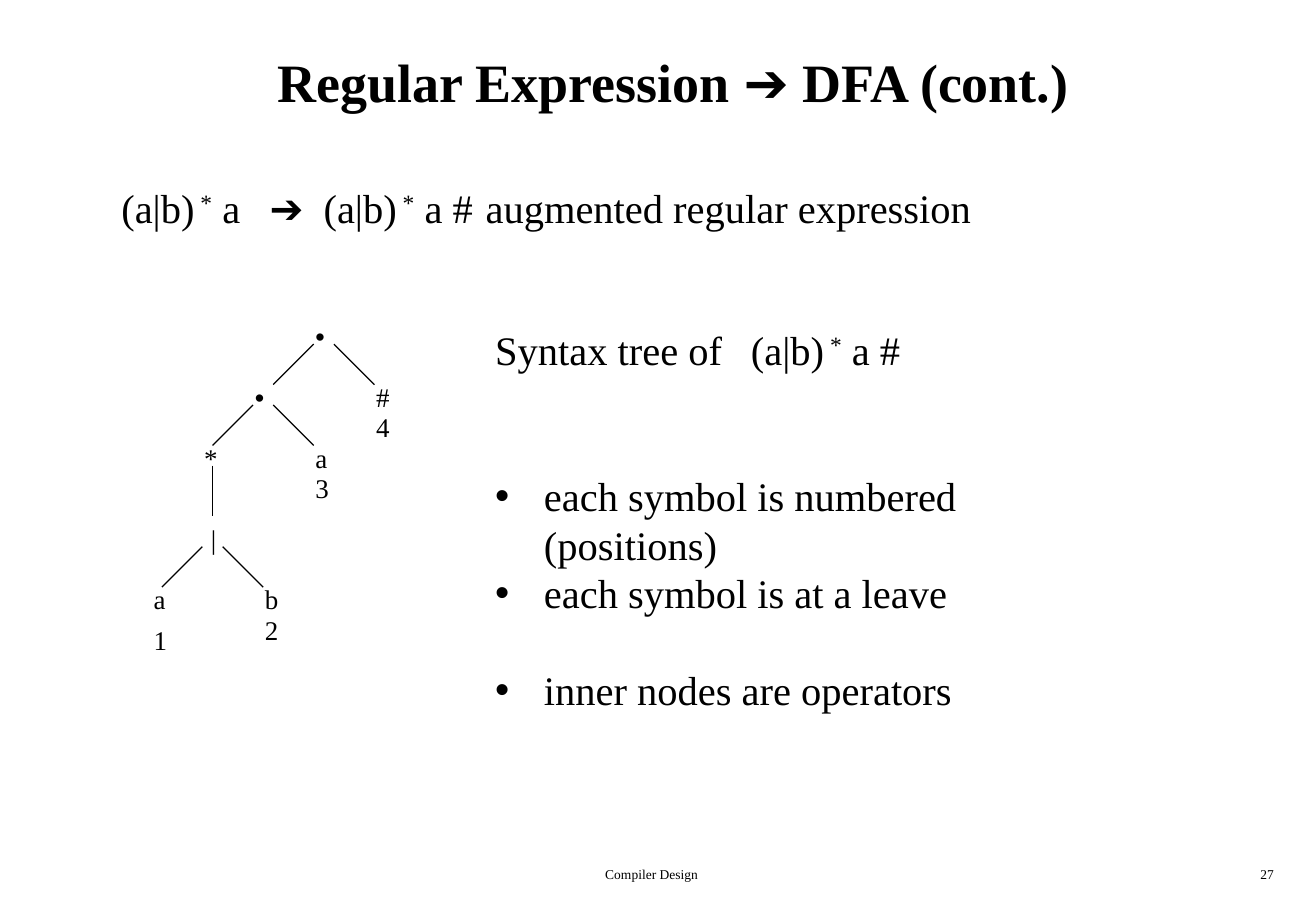
from dataclasses import dataclass

from lxml import etree
from pptx import Presentation
from pptx.dml.color import RGBColor
from pptx.enum import shapes, text
from pptx.oxml import ns
from pptx.util import Cm, Pt


@dataclass(frozen=True)
class Theme:
    ink: RGBColor = RGBColor(0, 0, 0)
    serif: str = "Times New Roman"
    sans: str = "Arial"
    head: int = 32
    body: int = 24
    node: int = 16
    foot: int = 8
    line: float = 0.75
    row: float = 28.8


THEME = Theme()
UNIT = 0.2117  # tree grid step in cm
ALIGN = text.PP_ALIGN
POWER = " *"
SIGNS = ("➔", "•")


def fill(para, parts, size, bold=False):
    """Write the parts as runs; symbols are sans, the star is raised."""
    for part in parts:
        run = para.add_run()
        run.text = part
        font = run.font
        font.size, font.bold = Pt(size), bold
        font.name = THEME.sans if part in SIGNS else THEME.serif
        font.color.rgb = THEME.ink
        if part == POWER:
            run._r.get_or_add_rPr().set("baseline", "30000")


def add_box(owner, area, anchor=text.MSO_ANCHOR.TOP, wrap=True):
    frame = owner.add_textbox(*map(Cm, area)).text_frame
    frame.word_wrap = wrap
    frame.vertical_anchor = anchor
    return frame


def add_text(owner, area, parts, size, align=ALIGN.LEFT, bold=False, **opts):
    para = add_box(owner, area, **opts).paragraphs[0]
    para.alignment = align
    fill(para, parts, size, bold)
    return para


def set_tabs(para, *stops):
    tabs = etree.SubElement(para._p.get_or_add_pPr(), ns.qn("a:tabLst"))
    for stop in stops:
        etree.SubElement(tabs, ns.qn("a:tab"), pos=str(Cm(stop)), algn="l")


def set_dot(para, indent):
    props = para._p.get_or_add_pPr()
    props.set("marL", str(Cm(indent)))
    props.set("indent", str(-Cm(indent)))
    etree.SubElement(props, ns.qn("a:buFont"), typeface=THEME.sans)
    etree.SubElement(props, ns.qn("a:buChar"), char="•")


def add_edge(owner, *ends):
    """Draw a line between two points of the tree grid."""
    edge = owner.add_connector(
        shapes.MSO_CONNECTOR.STRAIGHT, *(Cm(n * UNIT) for n in ends))
    edge.line.color.rgb = THEME.ink
    edge.line.width = Pt(THEME.line)
    etree.SubElement(edge._element.spPr, ns.qn("a:effectLst"))


def add_tree(slide):
    tree = slide.shapes.add_group_shape().shapes
    for x, y in ((32, 34), (26, 40), (21, 54)):
        for side in (-1, 1):
            add_edge(tree, x + side, y, x + 5 * side, y + 4)
    add_edge(tree, 21, 46, 21, 51)

    nodes = (("•", 30, 31), ("•", 24, 37), ("*", 19, 43), (" |", 19, 51),
             ("#", 36, 37), ("4", 36, 40), ("a", 30, 43), ("3", 30, 46),
             ("a", 14, 57), ("1", 14, 61), ("b", 25, 57), ("2", 25, 60))
    for label, x, y in nodes:
        add_text(tree, (x * UNIT, y * UNIT, 0.78, 0.94), [label], THEME.node)


def add_notes(slide):
    frame = add_box(slide.shapes, (10.11, 6.68, 13.69, 8.38))
    para = frame.paragraphs[0]
    set_tabs(para, 5.35)
    fill(para, ["Syntax tree of\t(a|b)", POWER, " a #"], THEME.body)
    points = (("each symbol is numbered (positions)", 2),
              ("each symbol is at a leave", 0),
              ("inner nodes are operators", 1))
    for point, rows in points:
        para = frame.add_paragraph()
        set_dot(para, 1.02)
        para.space_before = Pt(rows * THEME.row)
        fill(para, [point], THEME.body)


def main():
    deck = Presentation()
    deck.slide_width, deck.slide_height = Cm(27.53), Cm(19.05)
    slide = deck.slides.add_slide(deck.slide_layouts[6])
    items = slide.shapes
    add_text(items, (1.06, 0.42, 26.04, 2.54),
             ["Regular Expression ", "➔", " DFA (cont.)"], THEME.head,
             ALIGN.CENTER, True, anchor=text.MSO_ANCHOR.MIDDLE)
    para = add_text(items, (2.29, 3.71, 18.49, 1.27),
                    ["(a|b)", POWER, " a\t", "➔", "\t(a|b)", POWER,
                     " a #\taugmented regular expression"],
                    THEME.body, wrap=False)
    set_tabs(para, 3.1, 4.23, 7.62)
    add_tree(slide)
    add_notes(slide)
    add_text(items, (8.48, 17.98, 10.31, 0.64), ["Compiler Design"],
             THEME.foot, ALIGN.CENTER)
    add_text(items, (21.16, 17.98, 5.74, 0.64), ["27"],
             THEME.foot, ALIGN.RIGHT)
    deck.save("out.pptx")


if __name__ == "__main__":
    main()
